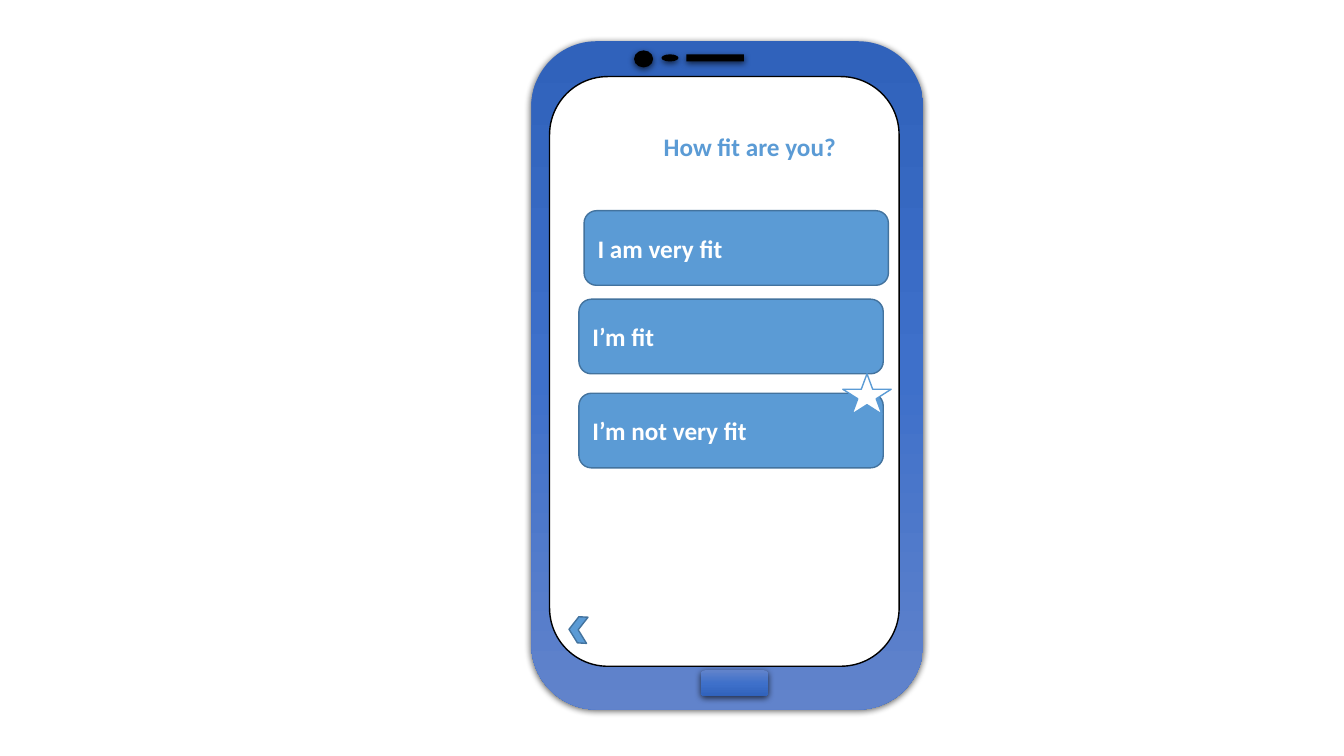
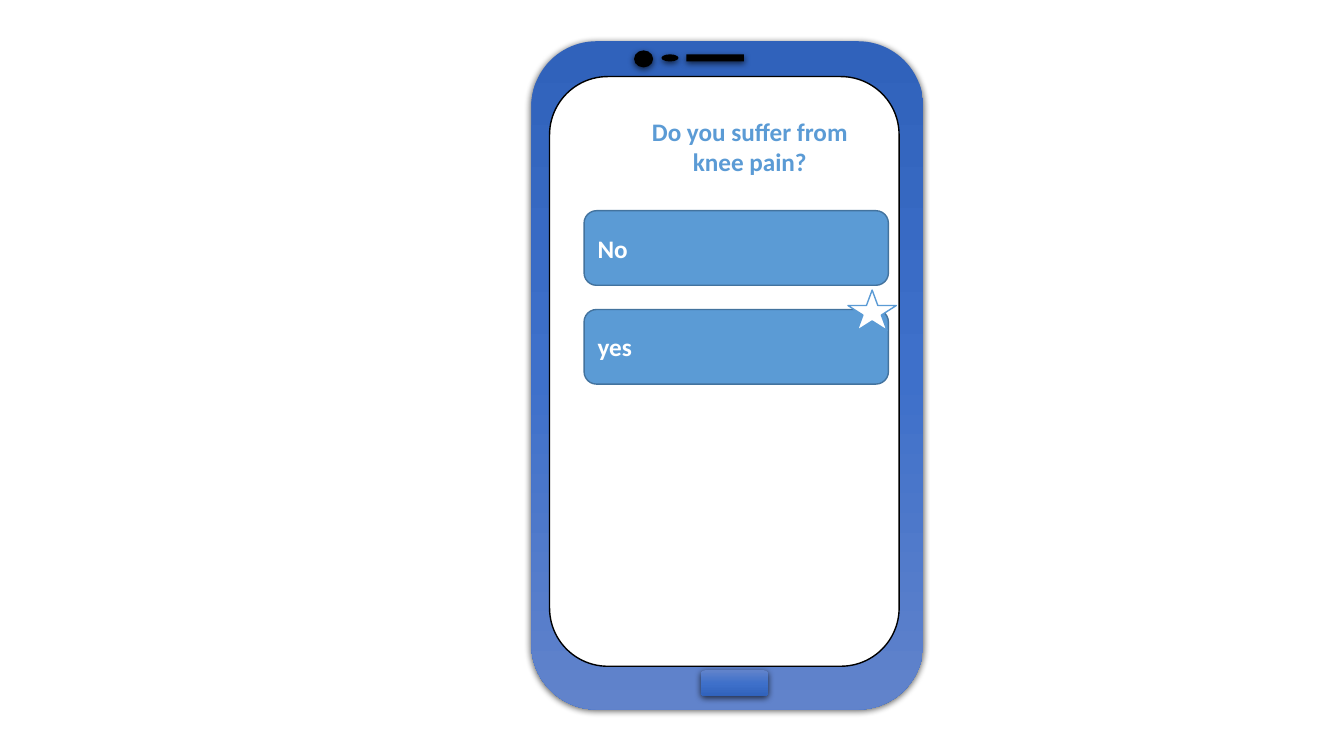
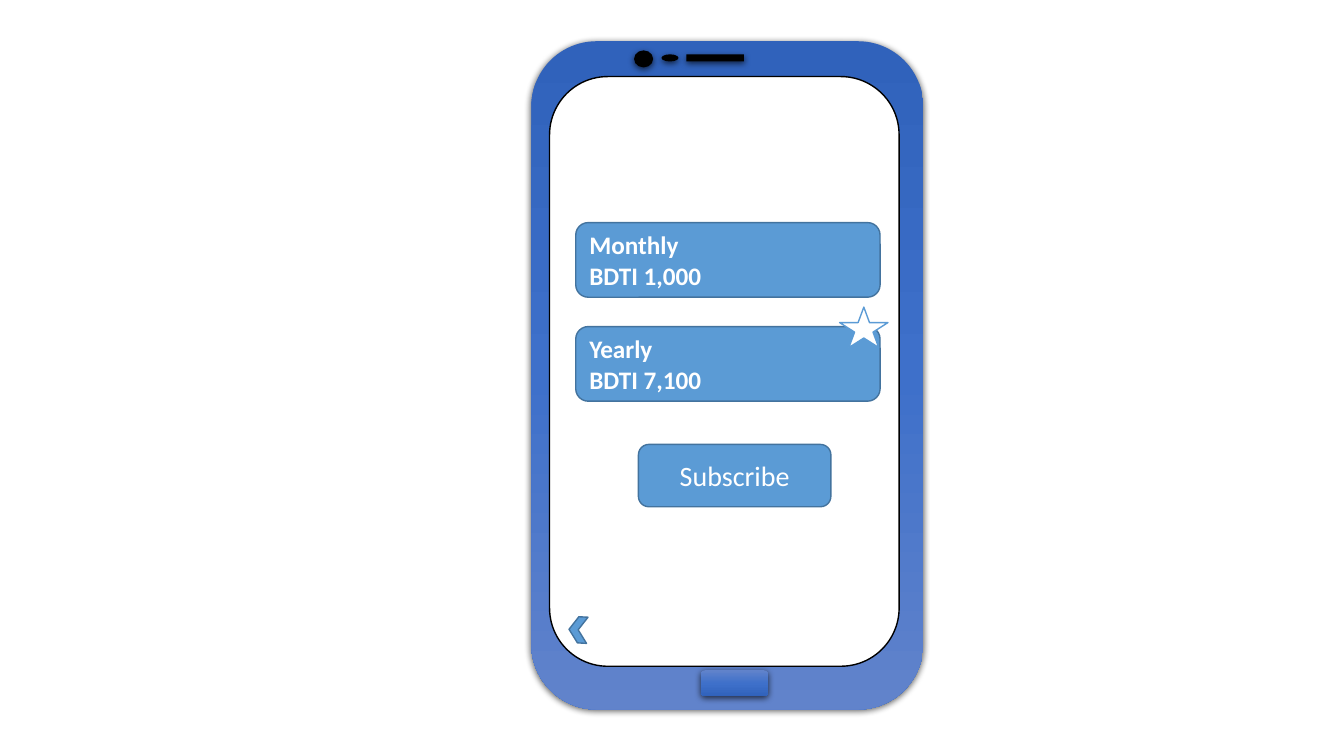
from dataclasses import dataclass

from pptx import Presentation
from pptx.dml.color import RGBColor
from pptx.enum.shapes import MSO_SHAPE
from pptx.enum.text import MSO_ANCHOR, MSO_AUTO_SIZE, PP_ALIGN
from pptx.oxml import parse_xml
from pptx.oxml.ns import nsdecls
from pptx.util import Cm, Pt

FONT = "Calibri"
BLUE = "5B9BD5"
DARK_BLUE = "43739E"
WHITE = "FFFFFF"
BLACK = "000000"
CASE_BLUES = ["3062BB", "3E70CA", "6183CB"]
TITLE_ONLY, BLANK = 5, 6


@dataclass
class Box:
    left: float
    top: float
    width: float
    height: float

    def inside(self, left, top, width, height):
        return Box(self.left + left, self.top + top, width, height)

    def lengths(self):
        return [Cm(value) for value in (self.left, self.top, self.width, self.height)]


PHONE = Box(13.39, 1.04, 9.88, 16.84)
SCREEN = PHONE.inside(0.46, 0.89, 8.81, 14.86)


def color(value):
    return RGBColor.from_string(value)


def add_part(page, kind, box, fill=BLUE, line=None):
    shape = page.shapes.add_shape(kind, *box.lengths())
    shape.shadow.inherit = False
    shape.fill.solid()
    shape.fill.fore_color.rgb = color(fill)
    if line:
        shape.line.color.rgb = color(line)
        shape.line.width = Pt(1)
    else:
        shape.line.fill.background()
    return shape


def add_shadow(shape):
    effects = shape._element.spPr.find("{*}effectLst")
    effects.append(parse_xml(
        f'<a:outerShdw {nsdecls("a")} blurRad="57150" dist="19050" dir="5400000" '
        'algn="ctr" rotWithShape="0"><a:srgbClr val="000000">'
        '<a:alpha val="63000"/></a:srgbClr></a:outerShdw>'))


def set_gradient(shape, colors):
    stops = "".join(
        f'<a:gs pos="{index * 50000}"><a:srgbClr val="{value}"/></a:gs>'
        for index, value in enumerate(colors))
    gradient = parse_xml(
        f'<a:gradFill {nsdecls("a")} rotWithShape="1"><a:gsLst>{stops}</a:gsLst>'
        '<a:lin ang="5400000" scaled="0"/></a:gradFill>')
    properties = shape._element.spPr
    properties.replace(properties.find("{*}solidFill"), gradient)


def write_text(shape, text, size=18, bold=True, align=PP_ALIGN.LEFT, ink=WHITE):
    frame = shape.text_frame
    frame.word_wrap = True
    frame.vertical_anchor = MSO_ANCHOR.MIDDLE
    frame.text = text
    for para in frame.paragraphs:
        para.alignment = align
        para.font.name = FONT
        para.font.size = Pt(size)
        para.font.bold = bold
        para.font.color.rgb = color(ink)


def add_phone(page, box):
    case = add_part(page, MSO_SHAPE.ROUNDED_RECTANGLE, box)
    set_gradient(case, CASE_BLUES)
    add_shadow(case)
    add_part(page, MSO_SHAPE.ROUNDED_RECTANGLE, SCREEN, WHITE, BLACK)
    home = add_part(page, MSO_SHAPE.ROUNDED_RECTANGLE, box.inside(4.27, 15.85, 1.7, 0.66))
    set_gradient(home, CASE_BLUES[::-1])
    add_shadow(home)
    for kind, place in (
        (MSO_SHAPE.RECTANGLE, (3.91, 0.33, 1.45, 0.18)),
        (MSO_SHAPE.OVAL, (3.28, 0.33, 0.43, 0.18)),
        (MSO_SHAPE.OVAL, (2.59, 0.23, 0.48, 0.43)),
    ):
        add_shadow(add_part(page, kind, box.inside(*place), BLACK))


def add_question(page, screen, text):
    title = page.shapes.title
    title.left, title.top, title.width, title.height = screen.inside(
        1.96, 0.74, 6.17, 2.03).lengths()
    frame = title.text_frame
    frame.auto_size = MSO_AUTO_SIZE.NONE
    frame.margin_left = frame.margin_right = 0
    write_text(title, text, align=PP_ALIGN.CENTER, ink=BLUE)
    page.shapes._spTree.append(title._element)


def add_options(page, screen, options):
    for text, left, top in options:
        box = screen.inside(left, top, 7.67, 1.88)
        button = add_part(page, MSO_SHAPE.ROUNDED_RECTANGLE, box, BLUE, DARK_BLUE)
        write_text(button, text)
    add_part(page, MSO_SHAPE.STAR_5_POINT, box.inside(6.65, -0.49, 1.22, 1.02), WHITE, BLUE)


def add_subscribe(page, screen):
    button = add_part(page, MSO_SHAPE.ROUNDED_RECTANGLE,
                      screen.inside(2.24, 9.27, 4.85, 1.57), BLUE, DARK_BLUE)
    write_text(button, "Subscribe", 20, False, PP_ALIGN.CENTER)


def add_back_arrow(page, screen):
    arrow = add_part(page, MSO_SHAPE.CHEVRON,
                     screen.inside(0.49, 13.61, 0.46, 0.66), BLUE, DARK_BLUE)
    arrow.rotation = 183.2


def add_page(deck, options, question=None):
    page = deck.slides.add_slide(deck.slide_layouts[TITLE_ONLY if question else BLANK])
    add_phone(page, PHONE)
    if question:
        add_question(page, SCREEN, question)
    add_options(page, SCREEN, options)
    return page


def main():
    deck = Presentation()
    deck.slide_width, deck.slide_height = Cm(33.87), Cm(19.05)

    fitness = add_page(deck, [
        ("I am very fit", 0.87, 3.38),
        ("I’m fit", 0.74, 5.61),
        ("I’m not very fit", 0.74, 7.98),
    ], "How fit are you?")
    add_back_arrow(fitness, SCREEN)

    add_page(deck, [("No", 0.87, 3.38), ("yes", 0.87, 5.87)],
             "Do you suffer from knee pain?")

    plans = add_page(deck, [
        ("Monthly\nBDTI 1,000", 0.66, 3.68),
        ("Yearly\nBDTI 7,100", 0.66, 6.3),
    ])
    add_subscribe(plans, SCREEN)
    add_back_arrow(plans, SCREEN)

    deck.save("out.pptx")


if __name__ == "__main__":
    main()
